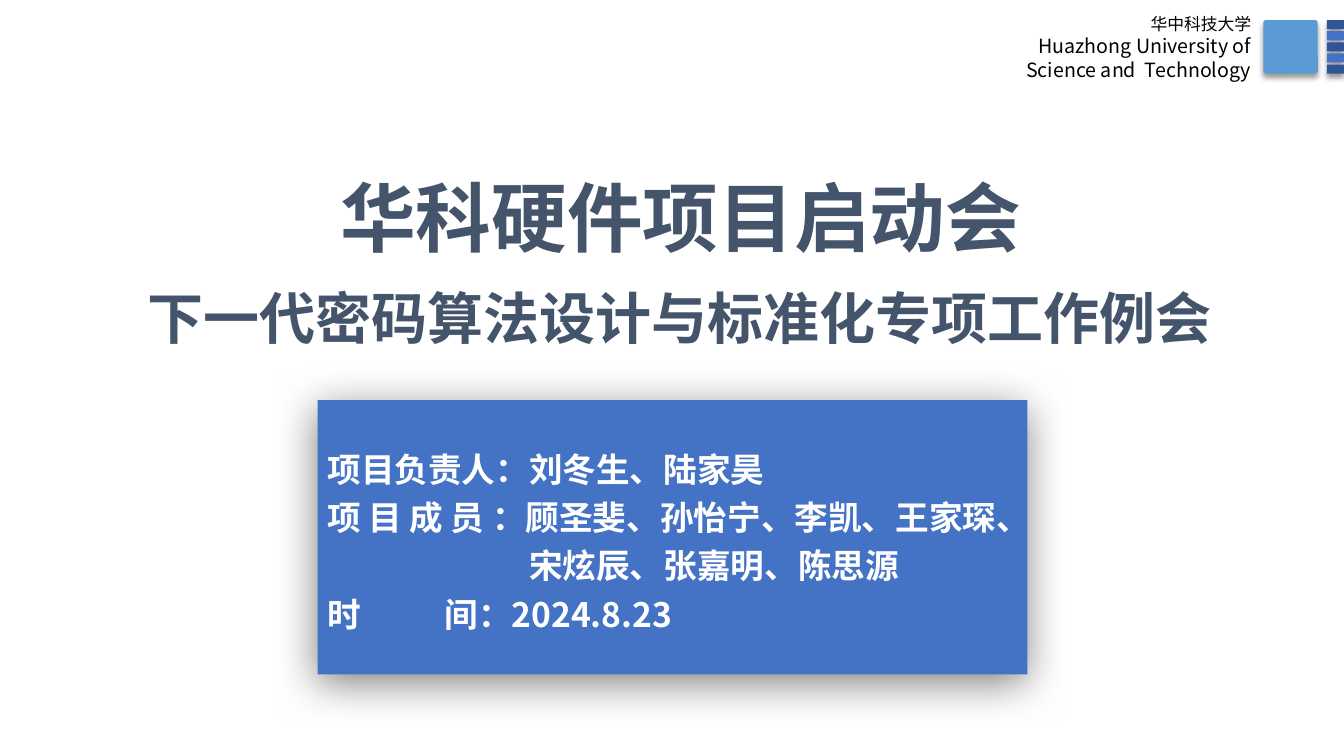
from dataclasses import dataclass

from lxml.etree import SubElement
from pptx import Presentation
from pptx.dml.color import RGBColor
from pptx.enum.shapes import MSO_SHAPE as Preset
from pptx.enum.text import MSO_ANCHOR as Anchor, PP_ALIGN as Align
from pptx.oxml.ns import qn
from pptx.util import Inches, Pt

SANS = "Noto Sans CJK SC"
CABIN = "Cabin"
BLUE, NAVY, SKY = "4472C4", "2F5597", "5B9BD5"
SLATE, WHITE, BLACK = "44546A", "FFFFFF", "000000"


@dataclass
class Box:
    left: float
    top: float
    width: float
    height: float

    def lengths(self) -> list:
        return [Inches(n) for n in (self.left, self.top, self.width, self.height)]


@dataclass
class Shadow:
    """Opacity in percent, blur and distance in points, angle in degrees."""
    opacity: int
    blur: int
    distance: int
    angle: int


@dataclass
class Line:
    runs: list[tuple[str, str]]  # text and font name
    size: int
    color: str
    bold: bool = True
    align: Align = Align.CENTER
    spacing: float = 1.0
    tab: float = 0


PANEL_SHADOW = Shadow(50, 31, 6, 97)
EMBLEM_SHADOW = Shadow(40, 4, 3, 90)


def rgb(color: str) -> RGBColor:
    return RGBColor.from_string(color)


def set_typeface(font, name: str) -> None:
    """Set the font for both Latin and East Asian text."""
    font.name = name
    SubElement(font._rPr, qn("a:ea"), typeface=name)


def add_shadow(shape, shadow: Shadow) -> None:
    shape.shadow.inherit = False
    effects = shape._element.spPr.find(qn("a:effectLst"))
    outer = SubElement(effects, qn("a:outerShdw"), blurRad=str(Pt(shadow.blur)),
                       dist=str(Pt(shadow.distance)), dir=str(shadow.angle * 60000),
                       algn="ctr", rotWithShape="0")
    color = SubElement(outer, qn("a:srgbClr"), val=BLACK)
    SubElement(color, qn("a:alpha"), val=str(shadow.opacity * 1000))


def add_block(slide, preset: Preset, box: Box, fill: str, shadow: Shadow):
    shape = slide.shapes.add_shape(preset, *box.lengths())
    if preset == Preset.ROUNDED_RECTANGLE:
        shape.adjustments[0] = 0.05
    shape.fill.solid()
    shape.fill.fore_color.rgb = rgb(fill)
    shape.line.fill.background()
    add_shadow(shape, shadow)
    return shape


def write(frame, lines: list[Line]) -> None:
    for index, line in enumerate(lines):
        paragraph = frame.paragraphs[0] if index == 0 else frame.add_paragraph()
        paragraph.alignment = line.align
        paragraph.line_spacing = line.spacing
        if line.tab:
            stops = SubElement(paragraph._p.get_or_add_pPr(), qn("a:tabLst"))
            SubElement(stops, qn("a:tab"), pos=str(Inches(line.tab)), algn="l")
        font = paragraph.font
        font.size, font.bold = Pt(line.size), line.bold
        font.color.rgb = rgb(line.color)
        for text, name in line.runs:
            run = paragraph.add_run()
            run.text = text
            set_typeface(run.font, name)


def add_text(slide, box: Box, lines: list[Line], wrap: bool = False) -> None:
    frame = slide.shapes.add_textbox(*box.lengths()).text_frame
    frame.word_wrap = wrap
    write(frame, lines)


def panel_line(*runs: tuple[str, str], tab: float = 0) -> Line:
    return Line(list(runs), 24, WHITE, align=Align.LEFT, spacing=1.2, tab=tab)


def header_line(text: str, size: int) -> Line:
    return Line([(text, SANS)], size, BLACK, bold=False, align=Align.RIGHT)


def add_panel(slide) -> None:
    panel = add_block(slide, Preset.RECTANGLE, Box(3.15, 3.97, 7.04, 2.72), BLUE, PANEL_SHADOW)
    frame = panel.text_frame
    frame.word_wrap = True
    frame.vertical_anchor = Anchor.MIDDLE
    write(frame, [
        panel_line(("项目负责人：刘冬生、陆家昊", CABIN)),
        panel_line(("项 目 成 员 ：", CABIN), ("顾圣斐、孙怡宁、", SANS),
                   ("李凯、", CABIN), ("王家琛、", SANS)),
        panel_line(("\t宋炫辰、", SANS), ("张", CABIN), ("嘉明、陈思源", SANS), tab=2),
        panel_line(("时\t间：", CABIN), ("2024.8.23", SANS), tab=1.16),
    ])


def add_header(slide) -> None:
    for index in range(5):
        bar = Box(13.16, 0.2 + 0.11 * index, 0.17, 0.09)
        add_block(slide, Preset.ROUNDED_RECTANGLE, bar, BLUE if index % 2 else NAVY,
                  EMBLEM_SHADOW)
    add_block(slide, Preset.ROUNDED_RECTANGLE, Box(12.53, 0.2, 0.54, 0.53), SKY, EMBLEM_SHADOW)
    add_text(slide, Box(6.78, 0.09, 5.73, 0.77), [
        header_line("华中科技大学", 12),
        header_line("Huazhong University of", 14),
        header_line("Science and  Technology", 14),
    ], wrap=True)


def main() -> None:
    presentation = Presentation()
    presentation.slide_width, presentation.slide_height = Inches(13.33), Inches(7.5)
    slide = presentation.slides.add_slide(presentation.slide_layouts[6])
    add_panel(slide)
    add_text(slide, Box(3.24, 1.65, 7.02, 1.01),
             [Line([("华科硬件项目启动会", SANS)], 54, SLATE)])
    add_text(slide, Box(1.31, 2.76, 10.86, 0.77),
             [Line([("下一代密码算法设计与标准化专项工作例会", SANS)], 40, SLATE)])
    add_header(slide)
    presentation.save("out.pptx")


if __name__ == "__main__":
    main()
